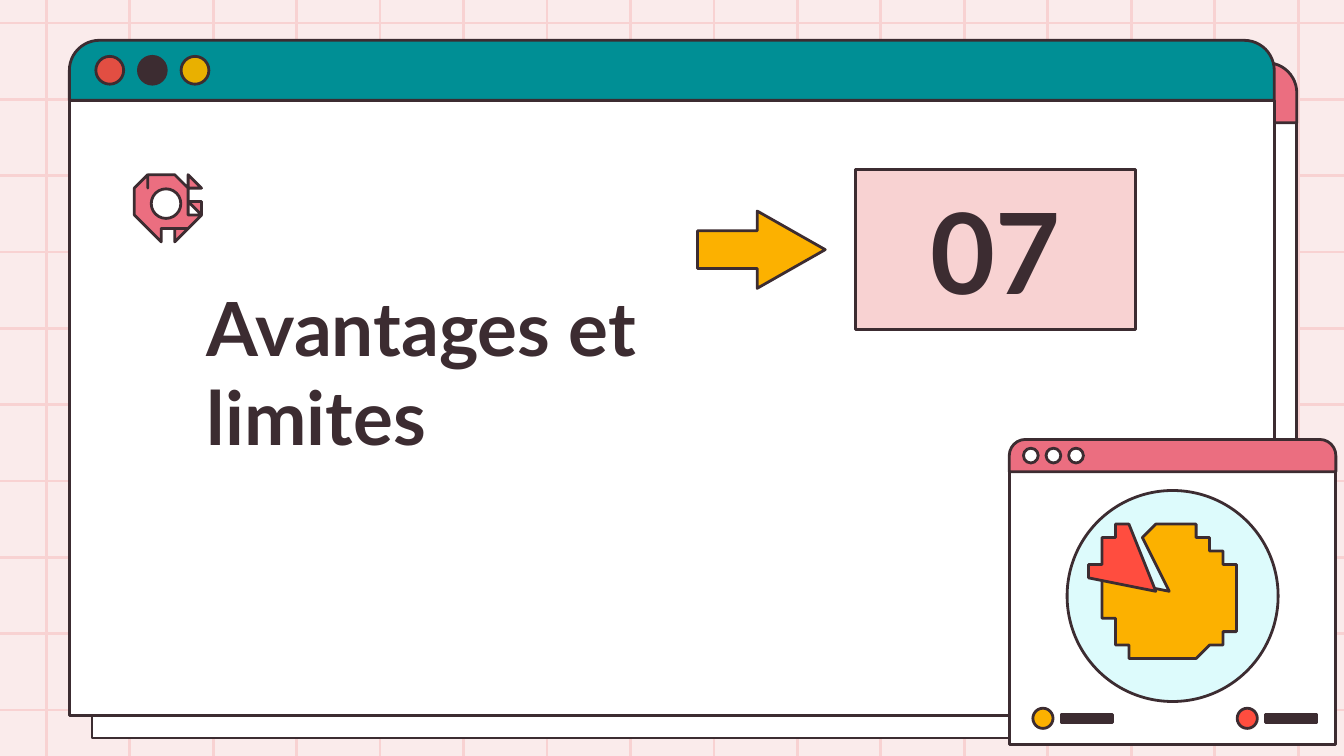
import math

from lxml import etree
from pptx import Presentation
from pptx import util as u
from pptx.dml.color import RGBColor
from pptx.enum import shapes, text
from pptx.oxml.ns import qn

# The slide is a grid of 100 columns by 56.25 rows of square cells.
CELL = u.Inches(0.1)
COLUMNS, ROWS = 100, 56.25
SHAPE = shapes.MSO_SHAPE

INK, WHITE = "3C2C31", "FFFFFF"
BACKGROUND, PALE_PINK, PINK = "FAEBEB", "F8D2D2", "EB6E80"
TEAL, YELLOW, RED, PALE_BLUE = "008F95", "FCB100", "FF4D3F", "DDFBFC"


def cells(count):
    return u.Emu(round(count * CELL))


def color(value):
    return RGBColor.from_string(value)


def style(shape, fill):
    shape.shadow.inherit = False
    shape.fill.solid()
    shape.fill.fore_color.rgb = color(fill)
    shape.line.color.rgb = color(INK)
    shape.line.width = u.Pt(1.5)
    return shape


def add_preset(slide, kind, left, top, width, height, fill, adjustments=()):
    shape = slide.shapes.add_shape(kind, *map(cells, (left, top, width, height)))
    for index, value in enumerate(adjustments):
        shape.adjustments[index] = value
    return style(shape, fill)


def add_circle(slide, x, y, diameter, fill):
    """Add a circle centred on x, y."""
    return add_preset(slide, SHAPE.OVAL, x - diameter / 2, y - diameter / 2,
                      diameter, diameter, fill)


def add_outline(slide, points, fill):
    builder = slide.shapes.build_freeform(*points[0], scale=CELL)
    builder.add_line_segments(points[1:], close=True)
    return style(builder.convert_to_shape(), fill)


def polar(x, y, radius, degrees):
    angle = math.radians(degrees)
    return x + radius * math.cos(angle), y + radius * math.sin(angle)


def add_wedge(slide, x, y, radius, start, end, fill):
    """Add a pie slice, clockwise from start to end in degrees."""
    steps = 80
    arc = [polar(x, y, radius, start + (end - start) * step / steps)
           for step in range(steps + 1)]
    add_outline(slide, [(x, y)] + arc, fill)


def add_gear(slide, x, y, teeth=10):
    corners = ((2.15, -8.5), (2.57, -9), (2.57, 9), (2.15, 8.5))
    points = [polar(x, y, radius, tooth * 360 / teeth + offset - 1)
              for tooth in range(teeth) for radius, offset in corners]
    add_outline(slide, points, PINK)
    add_circle(slide, x, y, 2.2, WHITE)


def add_grid_line(slide, x1, y1, x2, y2):
    line = slide.shapes.add_connector(
        shapes.MSO_CONNECTOR.STRAIGHT, *map(cells, (x1, y1, x2, y2)))
    line.line.color.rgb = color(PALE_PINK)
    line.line.width = u.Pt(1.5)
    etree.SubElement(line._element.spPr, qn("a:effectLst"))


def add_background_grid(slide):
    for column in range(16):
        x = 3.44 + 6.21 * column
        add_grid_line(slide, x, 0, x, ROWS)
    for row in range(10):
        y = 1.71 + 5.68 * row
        add_grid_line(slide, 0, y, COLUMNS, y)


def add_window(slide, left, top, width, bar, body, fill):
    add_preset(slide, SHAPE.RECTANGLE, left, top + bar, width, body, WHITE)
    add_preset(slide, SHAPE.ROUND_2_SAME_RECTANGLE, left, top, width, bar,
               fill, (0.5, 0))


def add_buttons(slide, x, y, pitch, diameter, fills):
    for index, fill in enumerate(fills):
        add_circle(slide, x + pitch * index, y, diameter, fill)


def set_text(shape, content, size, anchor, alignment):
    frame = shape.text_frame
    frame.text = content
    frame.word_wrap = True
    frame.auto_size = text.MSO_AUTO_SIZE.NONE
    frame.vertical_anchor = anchor
    frame.margin_left = frame.margin_right = cells(1)
    frame.margin_top = frame.margin_bottom = cells(1)
    paragraph = frame.paragraphs[0]
    paragraph.alignment = alignment
    font = paragraph.runs[0].font
    font.name, font.size, font.bold = "Lato", u.Pt(size), True
    font.color.rgb = color(INK)


def add_title(slide):
    title = slide.shapes.title
    title.left, title.top, title.width, title.height = map(
        cells, (14.4, 20.2, 43.2, 15.1))
    set_text(title, "Avantages et limites", 40, text.MSO_ANCHOR.BOTTOM,
             text.PP_ALIGN.LEFT)
    slide.shapes._spTree.append(title._element)  # bring in front of the window


def add_section_number(slide):
    box = add_preset(slide, SHAPE.RECTANGLE, 63.65, 12.6, 20.85, 11.95, PALE_PINK)
    set_text(box, "07", 60, text.MSO_ANCHOR.MIDDLE, text.PP_ALIGN.CENTER)


def add_chart_window(slide):
    """Add the small window with its decorative pie and legend."""
    add_window(slide, 75.1, 32.7, 24.3, 2.4, 20.3, PINK)
    add_buttons(slide, 76.7, 33.9, 1.68, 1.1, [WHITE] * 3)
    add_circle(slide, 87.25, 44.35, 15.7, PALE_BLUE)
    add_wedge(slide, 87.1, 44.22, 5.03, 248.6, 549.3, YELLOW)
    add_wedge(slide, 86.2, 43.6, 5, 189.3, 248.6, RED)
    for x, fill in ((77.6, YELLOW), (92.8, RED)):
        add_circle(slide, x, 53.45, 1.5, fill)
        add_preset(slide, SHAPE.RECTANGLE, x + 1.35, 53.15, 3.85, 0.6, INK)


def main():
    presentation = Presentation()
    presentation.slide_width = cells(COLUMNS)
    presentation.slide_height = cells(ROWS)
    slide = presentation.slides.add_slide(presentation.slide_layouts[5])
    slide.background.fill.solid()
    slide.background.fill.fore_color.rgb = color(BACKGROUND)

    add_background_grid(slide)
    for left, top, fill in ((6.84, 4.67, PINK), (5.16, 3, TEAL)):
        add_window(slide, left, top, 89.65, 4.47, 45.77, fill)
    add_buttons(slide, 8.17, 5.23, 3.17, 2.07, ["E24E42", INK, "E9B000"])
    add_title(slide)
    add_section_number(slide)
    add_preset(slide, SHAPE.RIGHT_ARROW, 51.9, 15.7, 9.5, 5.75, YELLOW,
               (0.49, 0.88))
    add_chart_window(slide)
    add_gear(slide, 12.35, 15.15)
    presentation.save("out.pptx")


if __name__ == "__main__":
    main()
